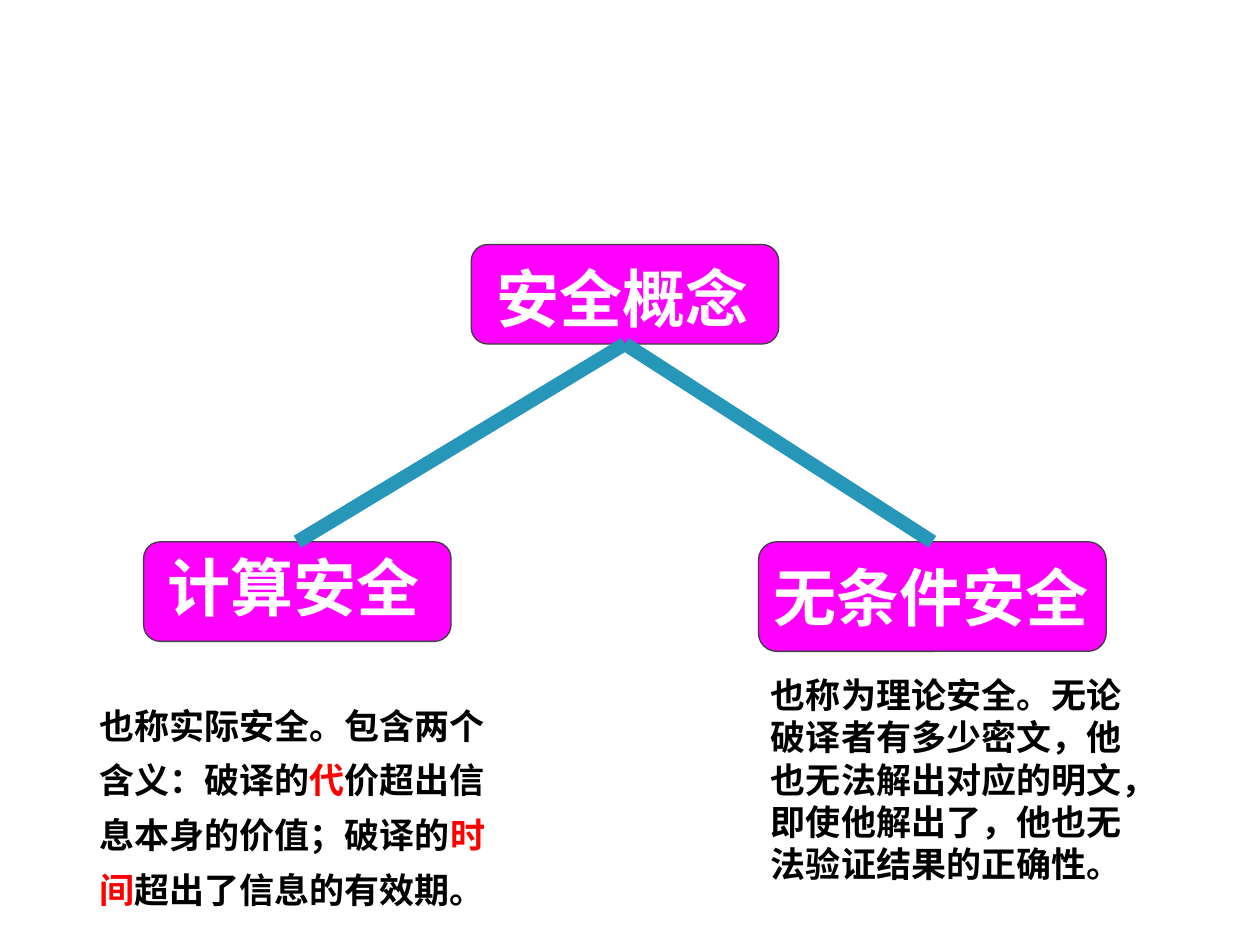
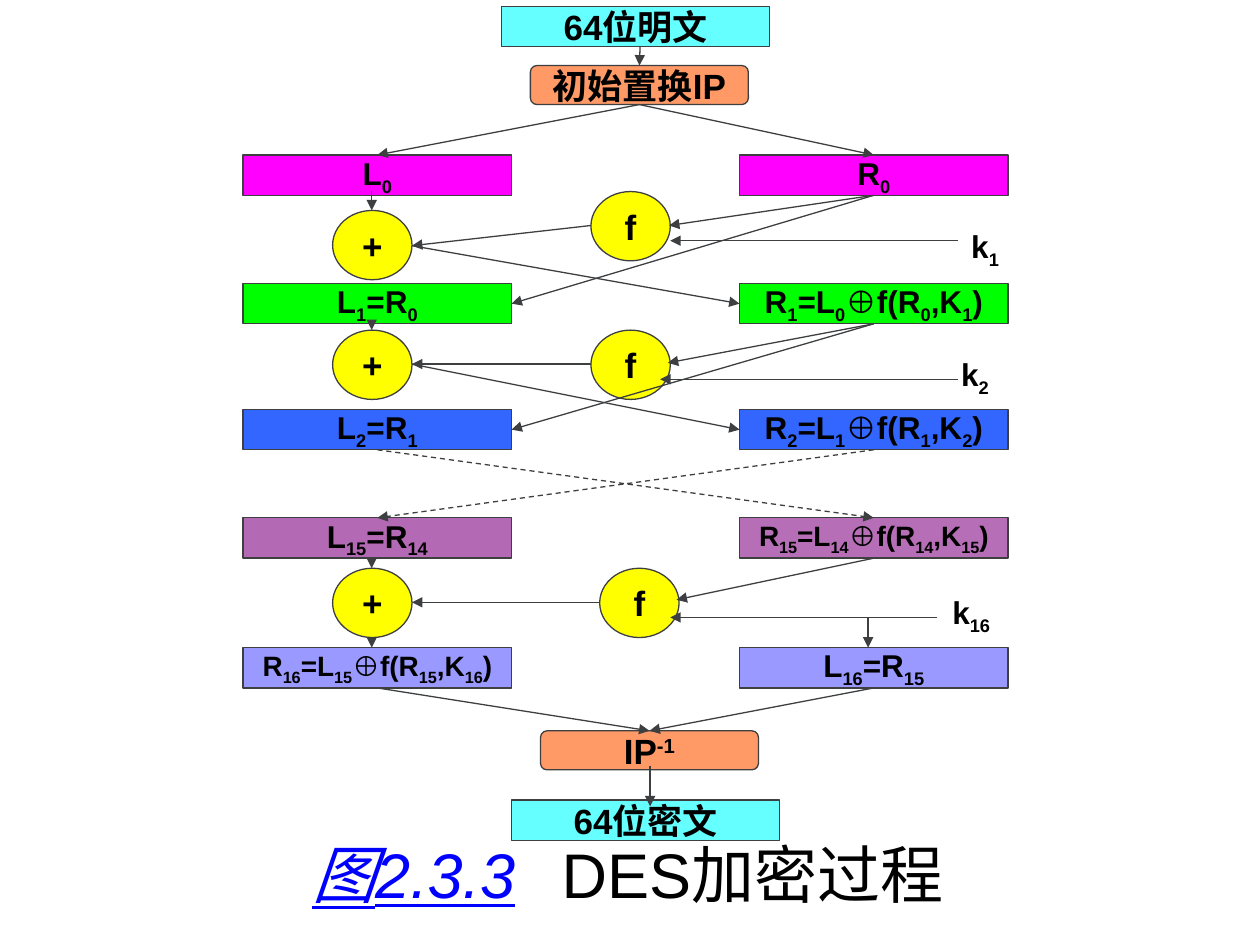
from dataclasses import dataclass

from lxml import etree
from pptx import Presentation
from pptx import util as u
from pptx.dml.color import RGBColor
from pptx.enum import dml, shapes, text
from pptx.oxml.ns import qn

PX = 9144  # EMU in one px, 100 px to the inch
TOP, LEFT, BOTTOM, RIGHT = range(4)
BOX = shapes.MSO_SHAPE.RECTANGLE
ROUNDED = shapes.MSO_SHAPE.FLOWCHART_ALTERNATE_PROCESS
CIRCLE = shapes.MSO_SHAPE.FLOWCHART_CONNECTOR


@dataclass(frozen=True)
class Theme:
    sans: str = "Arial"
    serif: str = "Times New Roman"
    black: str = "000000"
    white: str = "FFFFFF"
    outline: str = "3D3F41"
    branch: str = "2797B9"
    magenta: str = "FF00FF"
    red: str = "FF0000"
    link: str = "0000FF"
    cyan: str = "66FFFF"
    orange: str = "FF9966"
    yellow: str = "FFFF00"
    green: str = "00FF00"
    blue: str = "3366FF"
    purple: str = "800080"
    lilac: str = "9999FF"
    heading: int = 36
    body: int = 20
    formula: int = 18
    long_formula: int = 16


THEME = Theme()


class Deck:
    def __init__(self, theme):
        self.theme = theme
        self.presentation = Presentation()
        self.presentation.slide_width = 1000 * PX
        self.presentation.slide_height = 750 * PX
        self.slide = None

    def new_slide(self):
        self.slide = self.presentation.slides.add_slide(
            self.presentation.slide_layouts[6])

    def add_run(self, paragraph, words, size, color, font=None, bold=True,
                baseline=0):
        run = paragraph.add_run()
        run.text = words
        run.font.name = font or self.theme.sans
        run.font.size = u.Pt(size)
        run.font.bold = bold
        run.font.color.rgb = RGBColor.from_string(color)
        if baseline:
            run.font._element.set("baseline", str(baseline * 1000))
        return run

    def add_formula(self, paragraph, formula, size, shift=-25):
        """Write a formula whose every second part, split at |, is shifted."""
        for index, part in enumerate(formula.split("|")):
            self.add_run(paragraph, part, size, self.theme.black,
                         baseline=shift if index % 2 else 0)

    def block(self, kind, left, top, width, height, fill, formula="",
              size=THEME.body, shift=-25, opacity=100):
        shape = self.slide.shapes.add_shape(
            kind, left * PX, top * PX, width * PX, height * PX)
        shape.shadow.inherit = False
        shape.fill.solid()
        shape.fill.fore_color.rgb = RGBColor.from_string(fill)
        if opacity < 100:
            color = shape._element.spPr.find(qn("a:solidFill"))[0]
            etree.SubElement(color, qn("a:alpha"), val=str(opacity * 1000))
        shape.line.color.rgb = RGBColor.from_string(self.theme.outline)
        shape.line.width = u.Pt(0.75)
        if formula:
            frame = shape.text_frame
            frame.word_wrap = False
            frame.vertical_anchor = text.MSO_ANCHOR.MIDDLE
            frame.paragraphs[0].alignment = text.PP_ALIGN.CENTER
            self.add_formula(frame.paragraphs[0], formula, size, shift)
        return shape

    def text_box(self, left, top, width, height, wrap=True,
                 anchor=text.MSO_ANCHOR.TOP):
        """Add an empty text box and return its first paragraph."""
        box = self.slide.shapes.add_textbox(
            left * PX, top * PX, width * PX, height * PX)
        box.text_frame.word_wrap = wrap
        box.text_frame.vertical_anchor = anchor
        return box.text_frame.paragraphs[0]

    def line(self, start, end, color=THEME.outline, width=0.75, arrow=True,
             dashed=False):
        """Join two ends, each an (x, y) point or a (shape, side) pair."""
        points = [(0, 0) if self.is_joint(tip) else tip for tip in (start, end)]
        connector = self.slide.shapes.add_connector(
            shapes.MSO_CONNECTOR.STRAIGHT,
            *(value * PX for point in points for value in point))
        if self.is_joint(start):
            connector.begin_connect(*start)
        if self.is_joint(end):
            connector.end_connect(*end)
        connector.line.color.rgb = RGBColor.from_string(color)
        connector.line.width = u.Pt(width)
        if dashed:
            connector.line.dash_style = dml.MSO_LINE.DASH
        if arrow:
            etree.SubElement(connector.line._get_or_add_ln(),
                             qn("a:tailEnd"), type="triangle")
        etree.SubElement(connector._element.spPr, qn("a:effectLst"))

    @staticmethod
    def is_joint(tip):
        return not isinstance(tip[0], int)


def security_concepts(deck):
    theme = deck.theme
    deck.new_slide()
    concepts = [
        ("安全概念", (374, 194, 244, 79), (384, 201, 231, 70)),
        ("无条件安全", (602, 430, 276, 87), (604, 438, 281, 70)),
        ("计算安全", (114, 430, 244, 79), (123, 430, 231, 70)),
    ]
    boxes = []
    for name, box, label in concepts:
        boxes.append(deck.block(ROUNDED, *box, theme.magenta))
        paragraph = deck.text_box(*label, wrap=False,
                                  anchor=text.MSO_ANCHOR.MIDDLE)
        deck.add_run(paragraph, name, theme.heading, theme.white)
    root, unconditional, computational = boxes
    for child in (computational, unconditional):
        deck.line((root, BOTTOM), (child, TOP), theme.branch, 8, arrow=False)

    paragraph = deck.text_box(602, 530, 305, 210)
    deck.add_run(paragraph, "也称为理论安全。无论破译者有多少密文，他也无法解出对应的明文，"
                 "即使他解出了，他也无法验证结果的正确性。",
                 theme.body, theme.black, theme.serif)

    paragraph = deck.text_box(69, 544, 343, 184)
    paragraph.line_spacing = 1.3
    for words, color in [
        ("也称实际安全。包含两个含义：破译的", theme.black),
        ("代", theme.red),
        ("价超出信息本身的价值；破译的", theme.black),
        ("时间", theme.red),
        ("超出了信息的有效期。", theme.black),
    ]:
        deck.add_run(paragraph, words, theme.body, color, theme.serif)


def des_encryption(deck):
    theme = deck.theme
    deck.new_slide()

    def register(left, top, fill, formula, size=theme.formula, opacity=100):
        return deck.block(BOX, left, top, 213, 32, fill, formula, size,
                          opacity=opacity)

    def half(left, *rest):
        return register(left, *rest)

    left, right = 193, 587
    register(398, 5, theme.cyan, "64位明文", theme.body)
    register(406, 635, theme.cyan, "64位密文", theme.body)
    l0 = half(left, 123, theme.magenta, "L|0")
    r0 = half(right, 123, theme.magenta, "R|0")
    l1 = half(left, 225, theme.green, "L|1|=R|0")
    r1 = half(right, 225, theme.green, "R|1|=L|0|⊕f(R|0|,K|1|)")
    l2 = half(left, 325, theme.blue, "L|2|=R|1")
    r2 = half(right, 325, theme.blue, "R|2|=L|1|⊕f(R|1|,K|2|)")
    l15 = half(left, 411, theme.purple, "L|15|=R|14", theme.formula, 59)
    r15 = half(right, 411, theme.purple, "R|15|=L|14|⊕f(R|14|,K|15|)",
               theme.long_formula, 57)
    r16 = half(left, 514, theme.lilac, "R|16|=L|15|⊕f(R|15|,K|16|)",
               theme.long_formula)
    l16 = half(right, 514, theme.lilac, "L|16|=R|15")

    for sign, x, y in [("+", 264, 167), ("f", 469, 152), ("+", 264, 262),
                       ("f", 469, 262), ("+", 264, 451), ("f", 476, 451)]:
        deck.block(CIRCLE, x, y, 63, 55, theme.yellow, sign)
    initial = deck.block(ROUNDED, 421, 52, 173, 31, theme.orange, "初始置换IP")
    inverse = deck.block(ROUNDED, 429, 580, 173, 31, theme.orange, "IP|-1",
                         shift=30)

    arrows = [
        ((508, 37), (initial, TOP)),
        ((initial, BOTTOM), (l0, TOP)),
        ((initial, BOTTOM), (r0, TOP)),
        # round 1
        ((295, 152), (295, 167)),
        ((r0, BOTTOM), (531, 179)),
        ((469, 179), (327, 195)),
        ((r0, BOTTOM), (l1, RIGHT)),
        ((327, 195), (r1, LEFT)),
        ((760, 191), (532, 191)),
        # round 2
        ((295, 254), (295, 262)),
        ((r1, BOTTOM), (530, 288)),
        ((469, 289), (327, 289)),
        ((r1, BOTTOM), (l2, RIGHT)),
        ((327, 289), (r2, LEFT)),
        ((760, 301), (524, 301)),
        # round 16
        ((295, 443), (295, 451)),
        ((295, 506), (295, 514)),
        ((476, 478), (327, 478)),
        ((r15, BOTTOM), (537, 476)),
        ((744, 490), (532, 490)),
        ((689, 490), (689, 514)),
        ((r16, BOTTOM), (inverse, TOP)),
        ((l16, BOTTOM), (inverse, TOP)),
        ((516, 608), (516, 640)),
    ]
    for start, end in arrows:
        deck.line(start, end)
    for start, end in [(l2, r15), (r2, l15)]:
        deck.line((start, BOTTOM), (end, TOP), dashed=True)

    for key, x, y, width in [("k|1", 761, 175, 42), ("k|2", 753, 277, 42),
                             ("k|16", 746, 466, 50)]:
        paragraph = deck.text_box(x, y, width, 44, wrap=False)
        deck.add_formula(paragraph, key, theme.formula)

    caption = deck.text_box(238, 658, 547, 70, anchor=text.MSO_ANCHOR.MIDDLE)
    tabs = etree.SubElement(caption._p.get_or_add_pPr(), qn("a:tabLst"))
    etree.SubElement(tabs, qn("a:tab"), pos=str(198 * PX), algn="l")
    number = deck.add_run(caption, "图2.3.3", theme.heading, theme.link,
                          bold=False)
    number.font.italic = True
    number.font.underline = True
    deck.add_run(caption, "\tDES加密过程", theme.heading, theme.black, bold=False)


def main():
    deck = Deck(THEME)
    security_concepts(deck)
    des_encryption(deck)
    deck.presentation.save("out.pptx")


if __name__ == "__main__":
    main()
